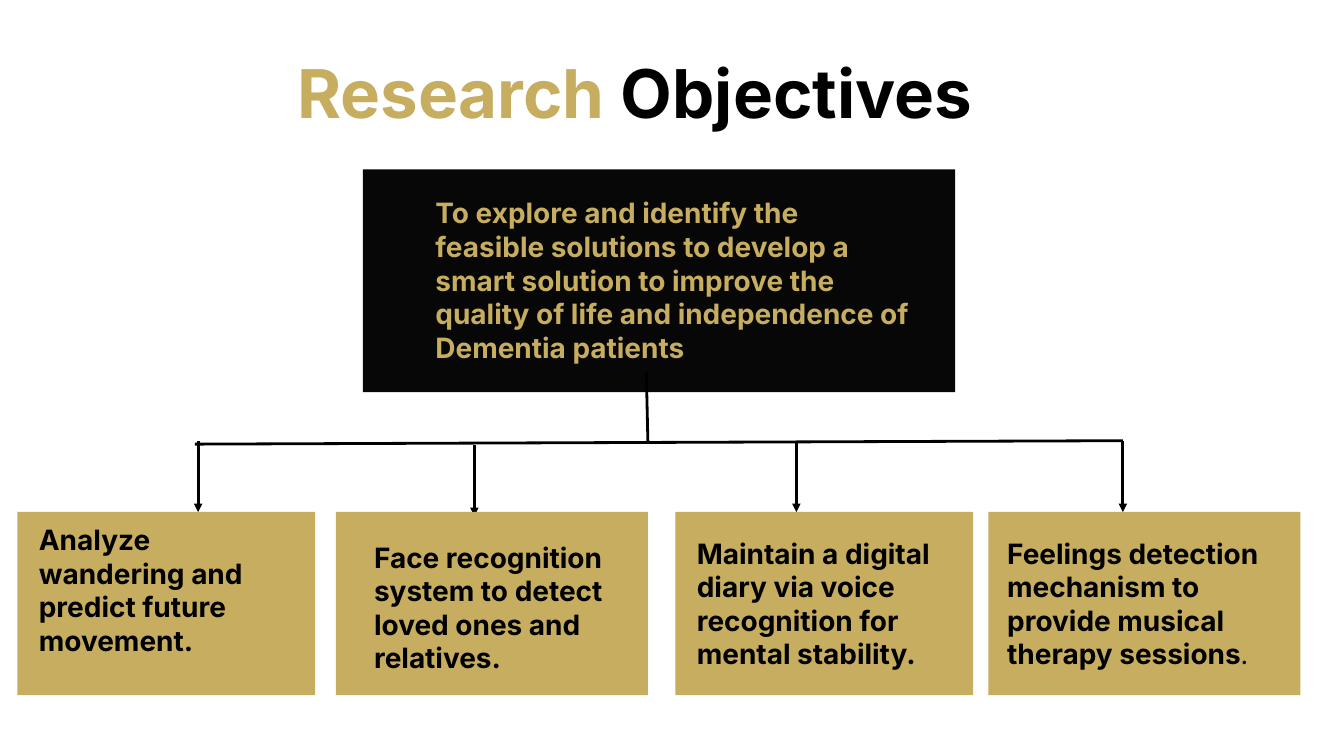
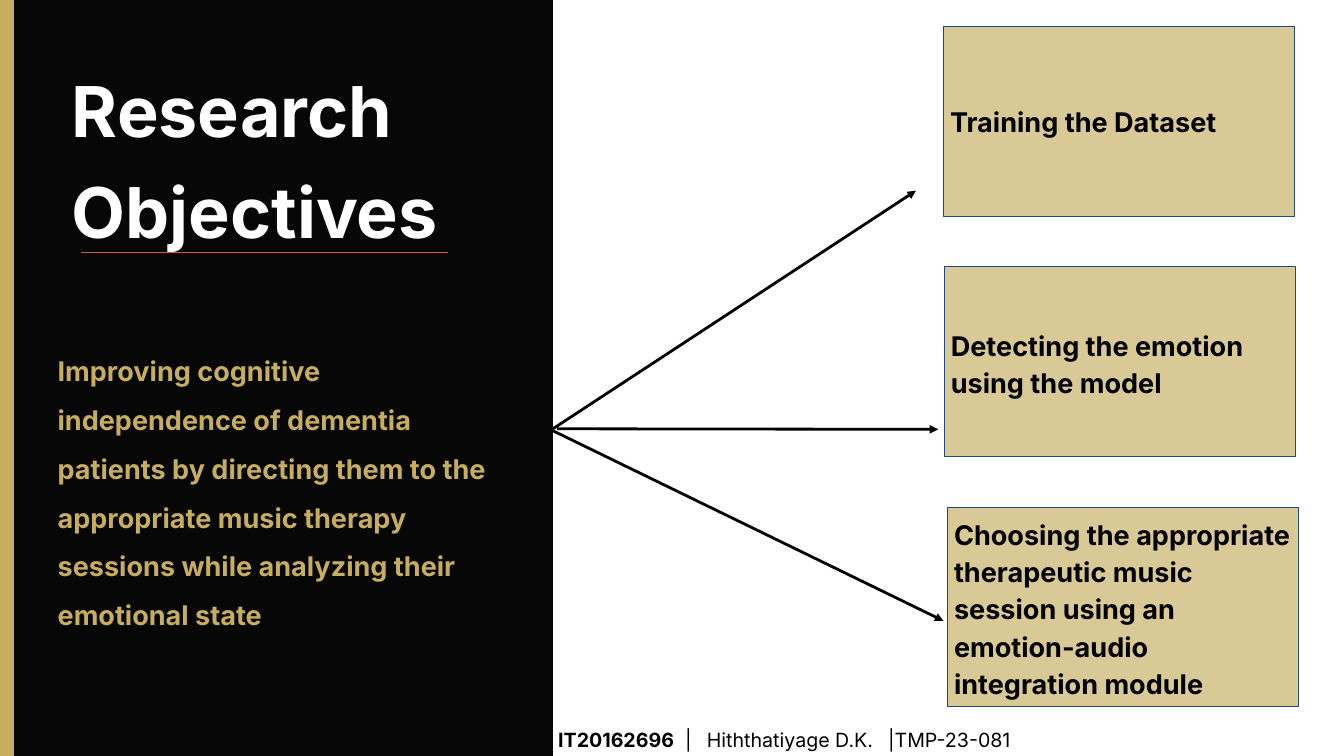
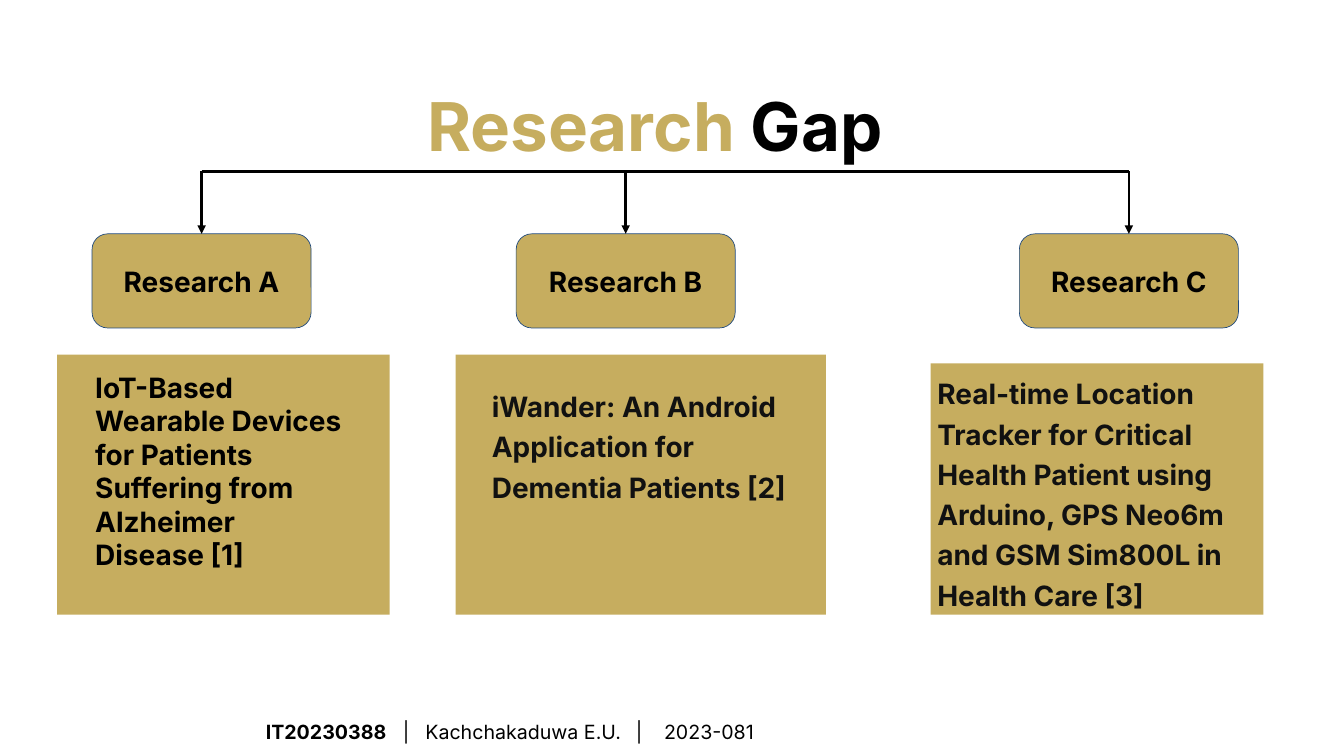
from dataclasses import dataclass
from typing import NamedTuple

from lxml import etree
from pptx import Presentation
from pptx.dml.color import RGBColor
from pptx.enum.shapes import MSO_CONNECTOR, MSO_SHAPE
from pptx.enum.text import MSO_ANCHOR, MSO_AUTO_SIZE, PP_ALIGN
from pptx.oxml.ns import qn
from pptx.util import Cm, Pt

RECTANGLE = MSO_SHAPE.RECTANGLE
ROUNDED = MSO_SHAPE.ROUNDED_RECTANGLE
STRAIGHT = MSO_CONNECTOR.STRAIGHT
TOP, MIDDLE = MSO_ANCHOR.TOP, MSO_ANCHOR.MIDDLE
LEFT, CENTER = PP_ALIGN.LEFT, PP_ALIGN.CENTER
GROW, FIXED = MSO_AUTO_SIZE.SHAPE_TO_FIT_TEXT, MSO_AUTO_SIZE.NONE
TITLE_ONLY = 5


@dataclass(frozen=True)
class Theme:
    gold: str = "C6AD5F"
    black: str = "000000"
    panel: str = "070707"
    ink: str = "111111"
    white: str = "FFFFFF"
    outline: str = "1F497D"
    accent: str = "D75B3F"
    font: str = "Inter"
    second_font: str = "Lato"
    title: int = 72
    panel_title: int = 75
    body: int = 30
    step: int = 29
    footer: int = 21
    arrow: float = 3
    hairline: float = 0.75
    inset: float = 0.25


THEME = Theme()


class Area(NamedTuple):
    """A rectangle in centimetres."""
    left: float
    top: float
    width: float
    height: float

    def lengths(self):
        return [Cm(value) for value in self]


class Span(NamedTuple):
    text: str
    color: str = THEME.black
    size: float = THEME.body
    bold: bool = True
    font: str = THEME.font


@dataclass(frozen=True)
class Card:
    """A gold card with a text box over it."""
    area: Area
    text_area: Area
    spans: list
    spacing: float = 1.0


@dataclass(frozen=True)
class Step:
    left: float
    height: float
    text: str
    spacing: float
    arrow: tuple


@dataclass(frozen=True)
class Study:
    name: str
    center: float
    card: Card


def write(shape, spans: list, spacing: float = 1.0, inset: float = THEME.inset,
          anchor=TOP, align=LEFT, fit=GROW):
    """Fill a shape with one paragraph, run by run, and return it."""
    frame = shape.text_frame
    frame.word_wrap = True
    frame.auto_size = fit
    frame.vertical_anchor = anchor
    frame.margin_left = frame.margin_right = Cm(inset)
    frame.margin_top = frame.margin_bottom = Cm(inset)
    para = frame.paragraphs[0]
    para.alignment = align
    para.line_spacing = spacing
    for span in spans:
        run = para.add_run()
        run.text = span.text
        run.font.name = span.font
        run.font.size = Pt(span.size)
        run.font.bold = span.bold
        run.font.color.rgb = RGBColor.from_string(span.color)
    return para


def add_text(page, area: Area, spans: list, spacing: float = 1.0):
    return write(page.shapes.add_textbox(*area.lengths()), spans, spacing)


def add_title(page, area: Area, spans: list) -> None:
    """Place the title placeholder in front of what is already drawn."""
    title = page.shapes.title
    title.left, title.top, title.width, title.height = area.lengths()
    write(title, spans, 1.2, inset=0)
    title.element.getparent().append(title.element)


def add_box(page, area: Area, fill: str = THEME.gold, outline: str = "",
            kind=RECTANGLE, opacity: int = 100):
    box = page.shapes.add_shape(kind, *area.lengths())
    box.shadow.inherit = False
    box.fill.solid()
    box.fill.fore_color.rgb = RGBColor.from_string(fill)
    if opacity < 100:
        color = box.element.spPr.find(qn("a:solidFill"))[0]
        etree.SubElement(color, qn("a:alpha"), val=str(opacity * 1000))
    if outline:
        box.line.color.rgb = RGBColor.from_string(outline)
        box.line.width = Pt(THEME.hairline)
    else:
        box.line.fill.background()
    return box


def add_line(page, start: tuple, end: tuple, arrow: bool = False,
             color: str = THEME.black, width: float = THEME.arrow) -> None:
    line = page.shapes.add_connector(
        STRAIGHT, *[Cm(value) for value in (*start, *end)])
    line.line.color.rgb = RGBColor.from_string(color)
    line.line.width = Pt(width)
    if arrow:
        etree.SubElement(line.line._get_or_add_ln(), qn("a:tailEnd"), type="triangle")
    etree.SubElement(line.element.spPr, qn("a:effectLst"))


def add_card(page, card: Card) -> None:
    add_box(page, card.area)
    add_text(page, card.text_area, card.spans, card.spacing)


def add_footer(page, area: Area, student: str, details: str, stops: tuple) -> None:
    """Write the student line; tabs in the details go to the stops."""
    para = add_text(page, area, [
        Span(student, size=THEME.footer),
        Span(details, size=THEME.footer, bold=False),
    ], 1.15)
    tabs = etree.SubElement(para._p.get_or_add_pPr(), qn("a:tabLst"))
    for stop in stops:
        etree.SubElement(tabs, qn("a:tab"), pos=str(Cm(stop)), algn="l")


def two_tone(first: str, second: str) -> list:
    return [Span(first, THEME.gold, THEME.title), Span(second, size=THEME.title)]


def objective(left: float, width: float, text_left: float, text_top: float,
              text_width: float, *spans: Span) -> Card:
    return Card(Area(left, 19.35, width, 6.93),
                Area(text_left, text_top, text_width, 5.64), list(spans))


OBJECTIVES = [
    objective(0.66, 11.25, 1.22, 19.51, 9.37,
              Span("Analyze wandering and predict future movement.")),
    objective(12.7, 11.79, 13.89, 20.17, 9.65,
              Span("Face recognition system to detect loved ones and relatives.")),
    objective(25.53, 11.25, 26.09, 20.02, 9.65,
              Span("Maintain a digital diary via voice recognition for mental stability.")),
    objective(37.36, 11.79, 37.82, 20.02, 10.11,
              Span("Feelings detection mechanism to provide musical therapy sessions"),
              Span(".", bold=False, font=THEME.second_font)),
]
OBJECTIVE_ARROWS = [(7.49, 16.69), (17.93, 16.84), (30.1, 16.69), (42.44, 16.69)]

STEPS = [
    Step(35.66, 7.19, "Training the Dataset", 1.0,
         ((20.9, 16.21), (34.62, 7.21))),
    Step(35.69, 7.19, "Detecting the emotion using the model", 1.15,
         ((21.06, 16.21), (35.46, 16.23))),
    Step(35.81, 7.52, "Choosing the appropriate therapeutic music session using an "
         "emotion-audio integration module", 1.15,
         ((20.85, 16.26), (35.66, 23.47))),
]

STUDIES = [
    Study("Research A", 7.62, Card(
        Area(2.16, 13.41, 12.57, 9.83), Area(3.35, 13.74, 9.88, 8.2),
        [Span("IoT-Based Wearable Devices for Patients Suffering from "
              "Alzheimer Disease [1]")])),
    Study("Research B", 23.65, Card(
        Area(17.22, 13.41, 14, 9.83), Area(18.34, 14.22, 11.79, 4.88),
        [Span("iWander: An Android Application for Dementia Patients [2]",
              THEME.ink)], 1.2)),
    Study("Research C", 42.67, Card(
        Area(35.18, 13.74, 12.57, 9.5), Area(35.18, 13.74, 12.57, 9.5),
        [Span("Real-time Location Tracker for Critical Health Patient using "
              "Arduino, GPS Neo6m and GSM Sim800L in Health Care [3]",
              THEME.ink)], 1.2)),
]


def build_objectives(page) -> None:
    add_title(page, Area(11.23, 1.32, 30.53, 3.07),
              two_tone("Research ", "Objectives"))
    add_box(page, Area(13.72, 6.4, 22.38, 8.43), THEME.panel)
    add_text(page, Area(16.21, 7.16, 18.42, 6.93), [Span(
        "To explore and identify the feasible solutions to develop a smart "
        "solution to improve the quality of life and independence of "
        "Dementia patients", THEME.gold)])
    add_line(page, (24.43, 14.1), (24.49, 16.76))
    add_line(page, (7.37, 16.79), (42.44, 16.66))
    for x, top in OBJECTIVE_ARROWS:
        add_line(page, (x, top), (x, top + 2.67), arrow=True)
    for card in OBJECTIVES:
        add_card(page, card)


def build_steps(page) -> None:
    first_top, pitch = 0.99, 9.09
    add_box(page, Area(0.25, 0, 20.65, 28.58), THEME.panel)
    add_box(page, Area(0, 0, 0.53, 28.58))
    add_title(page, Area(2.72, 1.93, 15.72, 7.06),
              [Span("Research Objectives", THEME.white, THEME.panel_title)])
    add_text(page, Area(1.93, 12.55, 17.3, 12.9), [Span(
        "Improving cognitive independence of dementia patients by directing "
        "them to the appropriate music therapy sessions while analyzing "
        "their emotional state", THEME.gold, THEME.step)], 1.5)
    for index, step in enumerate(STEPS):
        add_line(page, *step.arrow, arrow=True)
        area = Area(step.left, first_top + index * pitch, 13.28, step.height)
        box = add_box(page, area, outline=THEME.outline, opacity=65)
        write(box, [Span(step.text, size=THEME.step)], step.spacing,
              anchor=MIDDLE, fit=FIXED)
    add_line(page, (3.05, 9.55), (16.94, 9.55), color=THEME.accent,
             width=THEME.hairline)
    add_footer(page, Area(20.85, 27.15, 23.27, 1.42), "IT20162696",
               "\t|\tHiththatiyage D.K.\t|TMP-23-081", (4.8, 5.62, 12.47))


def build_gap(page) -> None:
    bar_y, head_top, head_width, head_height = 6.48, 8.84, 8.28, 3.56
    add_title(page, Area(16.15, 2.59, 23.47, 3.07), two_tone("Research ", "Gap"))
    add_line(page, (STUDIES[0].center, bar_y), (STUDIES[-1].center, bar_y))
    for study in STUDIES:
        add_card(page, study.card)
        head = add_box(page, Area(study.center - head_width / 2, head_top,
                                  head_width, head_height),
                       outline=THEME.outline, kind=ROUNDED)
        write(head, [Span(study.name)], anchor=MIDDLE, align=CENTER, fit=FIXED)
        add_line(page, (study.center, bar_y), (study.center, head_top), arrow=True)
    add_footer(page, Area(9.8, 26.85, 26.16, 1.42), "IT20230388",
               "\t|\tKachchakaduwa E.U.\t|\t2023-081", (5.18, 6.03, 13.99, 15.05))


def main() -> None:
    deck = Presentation()
    deck.slide_width, deck.slide_height = Cm(50.8), Cm(28.58)
    for build in (build_objectives, build_steps, build_gap):
        build(deck.slides.add_slide(deck.slide_layouts[TITLE_ONLY]))
    deck.save("out.pptx")


if __name__ == "__main__":
    main()
